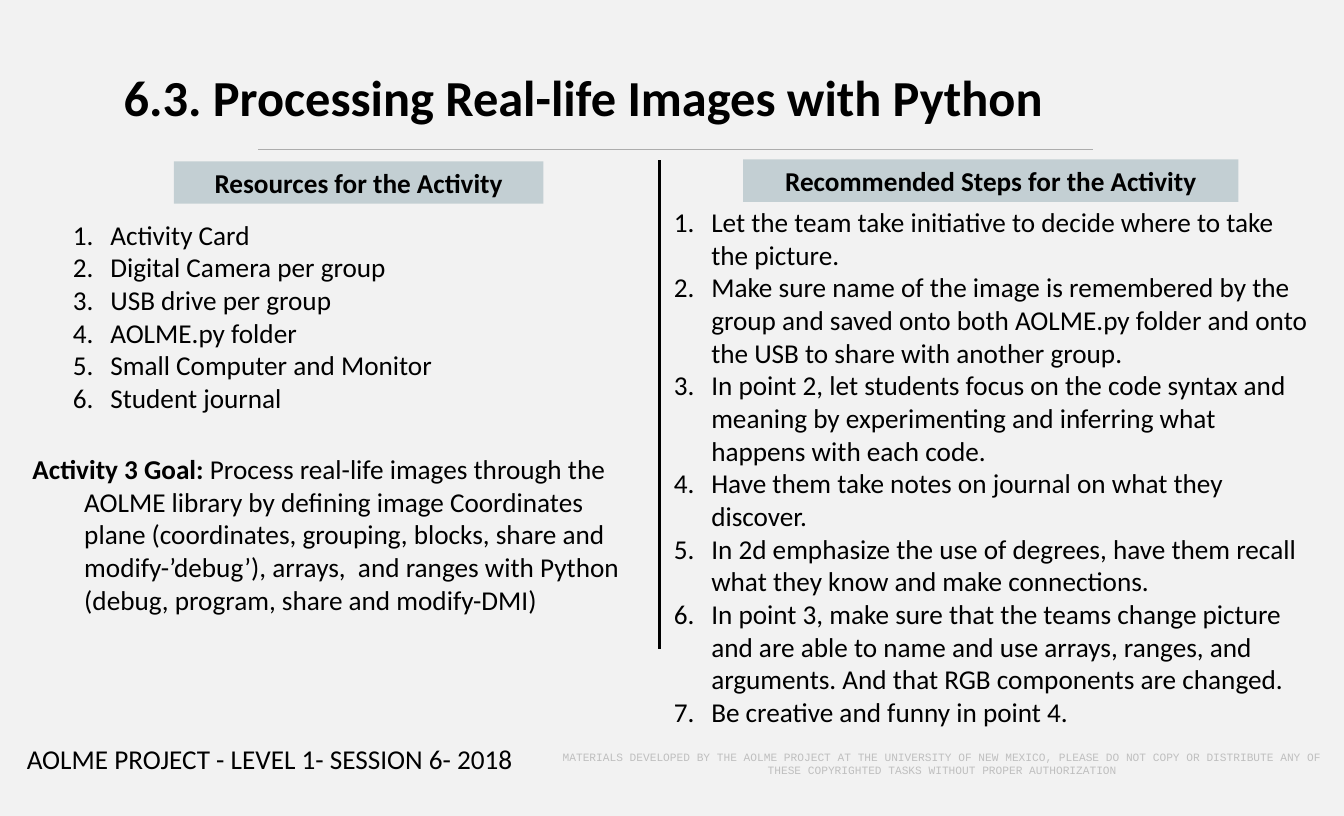
from lxml.etree import SubElement
from pptx import Presentation
from pptx.dml.color import RGBColor as Rgb
from pptx.enum.shapes import MSO_CONNECTOR as Conn, MSO_SHAPE as Shape
from pptx.enum.text import MSO_ANCHOR as Anchor, PP_ALIGN as Align
from pptx.oxml.ns import qn
from pptx.util import Cm, Pt


class Theme:
    back, ink, tag, rule, faint = "F2F2F2", "000000", "C3CFD3", "ADADAD", "BFBFBF"
    font, mono = "Calibri", "Courier New"
    head, body, note = 37.8, 20.4, 8.4


TITLE = "6.3. Processing Real-life Images with Python"
TOOLS = [
    "Activity Card",
    "Digital Camera per group",
    "USB drive per group",
    "AOLME.py folder",
    "Small Computer and Monitor",
    "Student journal",
]
STEPS = [
    "Let the team take initiative to decide where to take the picture.",
    "Make sure name of the image is remembered by the group and saved onto both "
    "AOLME.py folder and onto the USB to share with another group.",
    "In point 2, let students focus on the code syntax and meaning by "
    "experimenting and inferring what happens with each code.",
    "Have them take notes on journal on what they discover.",
    "In 2d emphasize the use of degrees, have them recall what they know and "
    "make connections.",
    "In point 3, make sure that the teams change picture and are able to name and "
    "use arrays, ranges, and arguments. And that RGB components are changed.",
    "Be creative and funny in point 4.",
]
GOAL = (
    "Activity 3 Goal: ",
    "Process real-life images through the AOLME library by defining image "
    "Coordinates plane (coordinates, grouping, blocks, share and "
    "modify-’debug’), arrays,  and ranges with Python (debug, program, share "
    "and modify-DMI)",
)
FOOT = "AOLME PROJECT - LEVEL 1- SESSION 6- 2018"
NOTICE = (
    "MATERIALS DEVELOPED BY THE AOLME PROJECT AT THE UNIVERSITY OF NEW MEXICO, "
    "PLEASE DO NOT COPY OR DISTRIBUTE ANY OF THESE COPYRIGHTED TASKS WITHOUT "
    "PROPER AUTHORIZATION"
)

# Left, top, width, height in centimetres
TAGS = [
    ("Resources for the Activity", (4.6, 4.27, 9.78, 1.12)),
    ("Recommended Steps for the Activity", (19.66, 4.22, 13.11, 1.12)),
]
# Start x, start y, end x, end y, colour, points
LINES = [
    (17.45, 17.17, 17.45, 4.24, Theme.ink, 2.25),
    (6.83, 3.96, 28.91, 3.96, Theme.rule, 1),
]


def write(frame, paras, size=Theme.body, font=Theme.font, color=Theme.ink,
          bold=False, align=Align.LEFT, anchor=Anchor.TOP, wrap=True,
          indent=None, number=False):
    """Fill a frame; a tuple paragraph is a bold lead followed by plain text."""
    frame.word_wrap = wrap
    frame.vertical_anchor = anchor
    for i, item in enumerate(paras):
        para = frame.paragraphs[0] if i == 0 else frame.add_paragraph()
        para.alignment = align
        props = para._p.get_or_add_pPr()
        if indent:
            left, first = indent
            props.set("marL", str(Cm(left)))
            props.set("indent", str(Cm(first)))
        if number:
            SubElement(props, qn("a:buFont"), typeface="+mj-lt")
            SubElement(props, qn("a:buAutoNum"), type="arabicPeriod")
        parts = zip(item, (True, False)) if isinstance(item, tuple) else [(item, bold)]
        for text, heavy in parts:
            run = para.add_run()
            run.text = text
            run.font.name = font
            run.font.size = Pt(size)
            run.font.bold = heavy
            run.font.color.rgb = Rgb.from_string(color)


def add_text(slide, area, paras, **style):
    box = slide.shapes.add_textbox(*map(Cm, area))
    write(box.text_frame, paras, **style)


def add_tag(slide, text, area):
    tag = slide.shapes.add_shape(Shape.RECTANGLE, *map(Cm, area))
    tag.shadow.inherit = False
    tag.fill.solid()
    tag.fill.fore_color.rgb = Rgb.from_string(Theme.tag)
    tag.line.fill.background()
    write(tag.text_frame, [text], bold=True, align=Align.CENTER)


def add_line(slide, ends, color, width):
    line = slide.shapes.add_connector(Conn.STRAIGHT, *map(Cm, ends))
    line.line.color.rgb = Rgb.from_string(color)
    line.line.width = Pt(width)
    SubElement(line._element.spPr, qn("a:effectLst"))


def main():
    deck = Presentation()
    deck.slide_width, deck.slide_height = Cm(35.56), Cm(21.59)
    slide = deck.slides.add_slide(deck.slide_layouts[6])
    slide.background.fill.solid()
    slide.background.fill.fore_color.rgb = Rgb.from_string(Theme.back)

    for *ends, color, width in LINES:
        add_line(slide, ends, color, width)
    add_text(slide, (1.63, 5.64, 15.04, 5.49), TOOLS,
             indent=(1.04, -0.99), number=True)
    add_text(slide, (0.46, 19.51, 13.72, 1.12), [FOOT], wrap=False)
    add_text(slide, (14.38, 19.69, 21.11, 1.02), [NOTICE], size=Theme.note,
             font=Theme.mono, color=Theme.faint, align=Align.CENTER,
             anchor=Anchor.MIDDLE)
    for text, area in TAGS:
        add_tag(slide, text, area)
    add_text(slide, (3.02, 1.63, 32.03, 1.88), [TITLE], size=Theme.head, bold=True)
    add_text(slide, (17.58, 5.31, 17.48, 14.22), STEPS,
             indent=(0.99, -0.99), number=True)
    add_text(slide, (0.1, 11.84, 16.94, 4.62), [GOAL], indent=(1.88, -1.37))
    deck.save("out.pptx")


if __name__ == "__main__":
    main()
